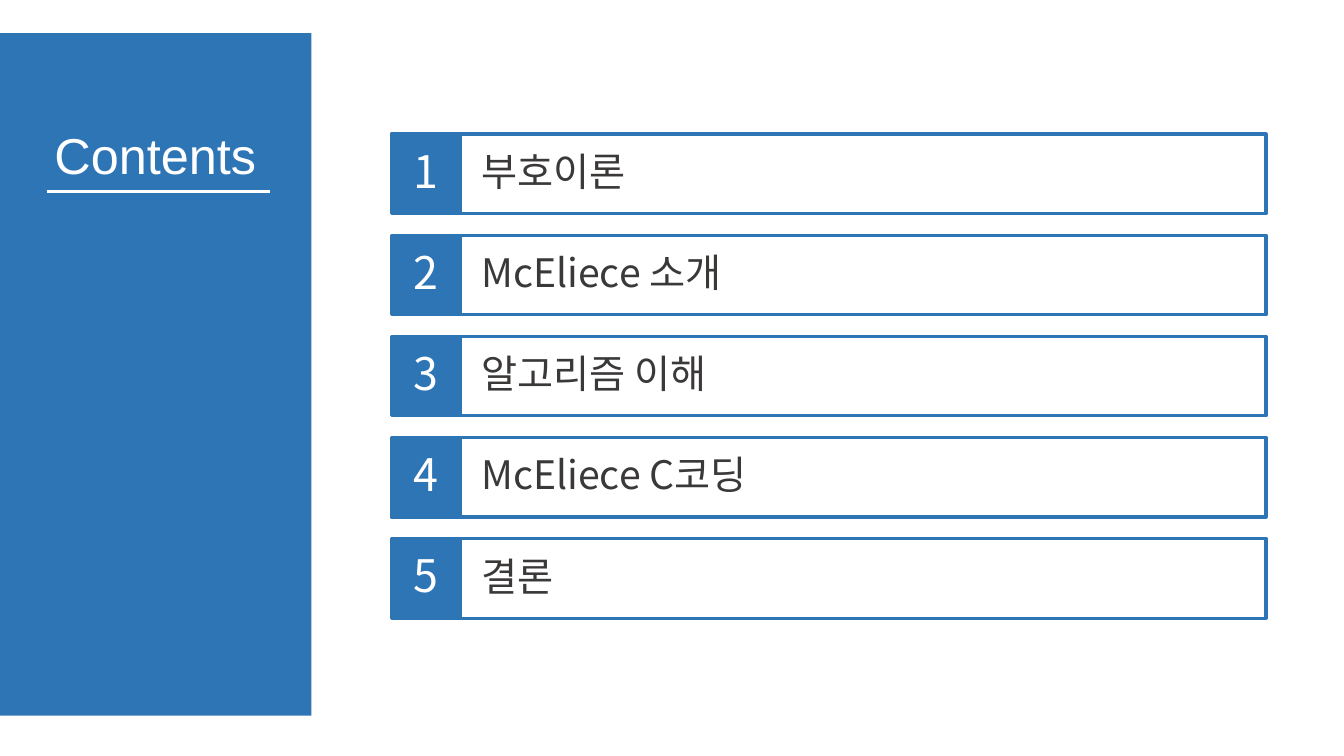
from dataclasses import dataclass
from typing import Optional

from lxml import etree
from pptx import Presentation
from pptx.dml.color import RGBColor
from pptx.enum.shapes import MSO_CONNECTOR, MSO_SHAPE
from pptx.enum.text import MSO_ANCHOR, PP_ALIGN
from pptx.oxml.ns import qn
from pptx.slide import Slide
from pptx.util import Inches, Pt

RECTANGLE = MSO_SHAPE.RECTANGLE
STRAIGHT = MSO_CONNECTOR.STRAIGHT
MIDDLE = MSO_ANCHOR.MIDDLE
LEFT, CENTER = PP_ALIGN.LEFT, PP_ALIGN.CENTER

COLORS = {"blue": "2E75B6", "white": "FFFFFF", "ink": "3B3838"}
CELL = Inches(0.1)
GRID_COLUMNS, GRID_ROWS = 133.33, 75

FIRST_ROW, ROW_PITCH, ROW_HEIGHT = 13.3, 10.03, 7.9
TOPICS = ["부호이론", "McEliece 소개", "알고리즘 이해", "McEliece C코딩", "결론"]


@dataclass(frozen=True)
class Area:
    column: float
    row: float
    columns: float
    rows: float


@dataclass(frozen=True)
class Label:
    text: str
    size: float
    font: str
    color: str
    align: PP_ALIGN = CENTER


@dataclass(frozen=True)
class Block:
    area: Area
    fill: Optional[str] = None
    border: Optional[str] = None
    label: Optional[Label] = None


def cells(count: float) -> int:
    return round(count * CELL)


def color(name: str) -> RGBColor:
    return RGBColor.from_string(COLORS[name])


def write_label(frame, label: Label) -> None:
    frame.word_wrap = True
    frame.vertical_anchor = MIDDLE
    frame.margin_top = frame.margin_bottom = Inches(0.05)
    paragraph = frame.paragraphs[0]
    paragraph.alignment = label.align
    paragraph.line_spacing = 0.9
    run = paragraph.add_run()
    run.text = label.text
    run.font.size = Pt(label.size)
    run.font.name = label.font
    run.font.color.rgb = color(label.color)
    east_asian = etree.SubElement(run.font._element, qn("a:ea"))
    east_asian.set("typeface", label.font)


def draw_block(slide: Slide, block: Block) -> None:
    area = block.area
    place = [cells(n) for n in (area.column, area.row, area.columns, area.rows)]
    if block.fill or block.border:
        shape = slide.shapes.add_shape(RECTANGLE, *place)
        shape.shadow.inherit = False
        if block.fill:
            shape.fill.solid()
            shape.fill.fore_color.rgb = color(block.fill)
        else:
            shape.fill.background()
        if block.border:
            shape.line.color.rgb = color(block.border)
            shape.line.width = Pt(2.25)
        else:
            shape.line.fill.background()
    else:
        shape = slide.shapes.add_textbox(*place)
    if block.label:
        write_label(shape.text_frame, block.label)


def draw_rule(slide: Slide, start: float, end: float, row: float) -> None:
    rule = slide.shapes.add_connector(
        STRAIGHT, cells(start), cells(row), cells(end), cells(row)
    )
    rule.line.color.rgb = color("white")
    rule.line.width = Pt(1.5)
    etree.SubElement(rule._element.spPr, qn("a:effectLst"))


def topic_blocks(index: int, topic: str) -> list[Block]:
    row = FIRST_ROW + index * ROW_PITCH
    number = Label(str(index + 1), 32, "Noto Sans CJK KR", "white")
    heading = Label(topic, 28, "Noto Sans CJK KR", "ink", LEFT)
    return [
        Block(Area(44.9, row, 80.7, ROW_HEIGHT), border="blue"),
        Block(Area(38.8, row, 6.9, ROW_HEIGHT), "blue", "blue", number),
        Block(Area(46.8, row, 78.7, ROW_HEIGHT), label=heading),
    ]


def main() -> None:
    presentation = Presentation()
    presentation.slide_width = cells(GRID_COLUMNS)
    presentation.slide_height = cells(GRID_ROWS)
    slide = presentation.slides.add_slide(presentation.slide_layouts[6])

    contents = Label("Contents", 36, "Arial", "white")
    draw_block(slide, Block(Area(0, 3.3, 30.9, 67.7), fill="blue"))
    draw_block(slide, Block(Area(2.3, 13.3, 26.2, 4.7), label=contents))
    draw_rule(slide, 4.7, 26.8, 19)

    for index, topic in enumerate(TOPICS):
        for block in topic_blocks(index, topic):
            draw_block(slide, block)

    presentation.save("out.pptx")


if __name__ == "__main__":
    main()
